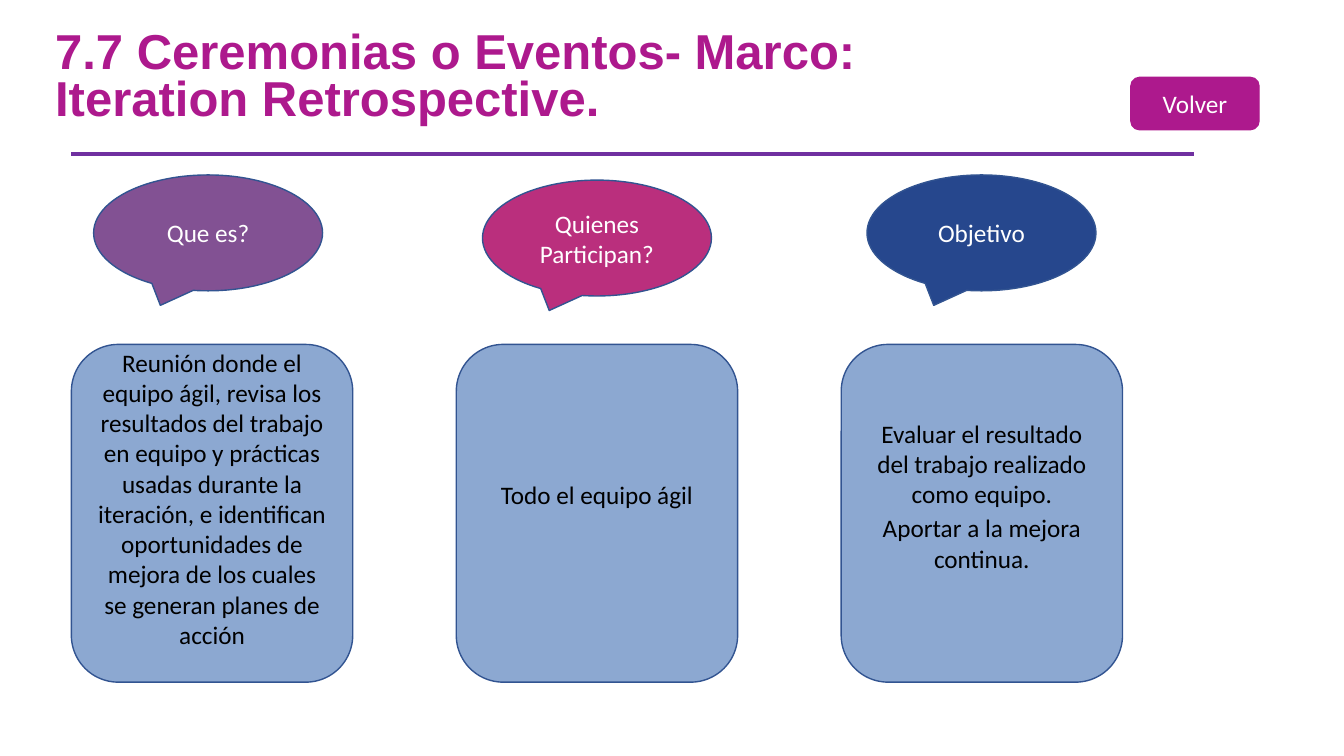
from lxml import etree
from pptx import Presentation
from pptx import util as u
from pptx.dml.color import RGBColor
from pptx.enum import shapes, text
from pptx.oxml.ns import qn

TITLE = "7.7 Ceremonias o Eventos- Marco: Iteration Retrospective."
BACK = "Volver"
MAGENTA, PURPLE, OUTLINE, CARD_FILL = "AD198D", "7030A0", "325491", "8CA8D1"

# question, bubble colour, bubble left and top, answer, extra space under the answer (cm)
COLUMNS = [
    ("Que es?", "825193", 2.36, 4.41,
     ["Reunión donde el equipo ágil, revisa los resultados del trabajo en equipo "
      "y prácticas usadas durante la iteración, e identifican oportunidades de "
      "mejora de los cuales se generan planes de acción"], 0.76),
    ("Quienes Participan?", "BA2F7D", 12.16, 4.54, ["Todo el equipo ágil"], 0.97),
    ("Objetivo", "26478D", 21.85, 4.41,
     ["Evaluar el resultado del trabajo realizado como equipo.",
      "Aportar a la mejora continua."], 0.88),
]

BUBBLE_SIZE = (5.77, 2.92)
CARD_LEFT, CARD_TOP, CARD_PITCH = 1.8, 8.68, 9.7
CARD_SIZE = (7.09, 8.51)
INSET = 0.13


def color(hex_code):
    return RGBColor.from_string(hex_code)


def write(shape, lines, size, font, ink, align):
    """Fill the shape with one paragraph per line, centred vertically."""
    frame = shape.text_frame
    frame.word_wrap = True
    frame.vertical_anchor = text.MSO_ANCHOR.MIDDLE
    frame.text = "\n".join(lines)
    for number, paragraph in enumerate(frame.paragraphs):
        paragraph.alignment = align
        if number:
            paragraph.space_before = u.Pt(2.7)
        for run in paragraph.runs:
            run.font.size = u.Pt(size)
            run.font.name = font
            run.font.color.rgb = color(ink)
    return frame


def add_box(slide, kind, place, fill, outline, lines, ink="FFFFFF"):
    box = slide.shapes.add_shape(kind, *map(u.Cm, place))
    box.shadow.inherit = False
    box.fill.solid()
    box.fill.fore_color.rgb = color(fill)
    box.line.color.rgb = color(outline)
    box.line.width = u.Pt(1)
    return write(box, lines, 18, "Calibri", ink, text.PP_ALIGN.CENTER)


def main():
    deck = Presentation()
    deck.slide_width, deck.slide_height = u.Cm(33.87), u.Cm(19.05)
    slide = deck.slides.add_slide(deck.slide_layouts[6])
    kinds = shapes.MSO_SHAPE

    title = slide.shapes.add_textbox(*map(u.Cm, (1.14, 0.64, 25.35, 2.72)))
    heading = write(title, [TITLE], 35, "Arial", MAGENTA, text.PP_ALIGN.LEFT).paragraphs[0]
    heading.line_spacing = 0.8
    heading.runs[0].font.bold = True

    rule = slide.shapes.add_connector(
        shapes.MSO_CONNECTOR.STRAIGHT, *map(u.Cm, (1.8, 3.88, 30.1, 3.88)))
    rule.line.color.rgb = color(PURPLE)
    rule.line.width = u.Pt(2.25)
    etree.SubElement(rule.element.spPr, qn("a:effectLst"))

    for index, (question, fill, left, top, answer, gap) in enumerate(COLUMNS):
        add_box(slide, kinds.OVAL_CALLOUT, (left, top, *BUBBLE_SIZE),
                fill, OUTLINE, [question])
        card_left = CARD_LEFT + index * CARD_PITCH
        card = add_box(slide, kinds.FLOWCHART_ALTERNATE_PROCESS,
                       (card_left, CARD_TOP, *CARD_SIZE),
                       CARD_FILL, OUTLINE, answer, "000000")
        card.margin_bottom = u.Cm(INSET + gap)

    add_box(slide, kinds.ROUNDED_RECTANGLE, (28.5, 1.95, 3.23, 1.32),
            MAGENTA, MAGENTA, [BACK])
    deck.save("out.pptx")


if __name__ == "__main__":
    main()
